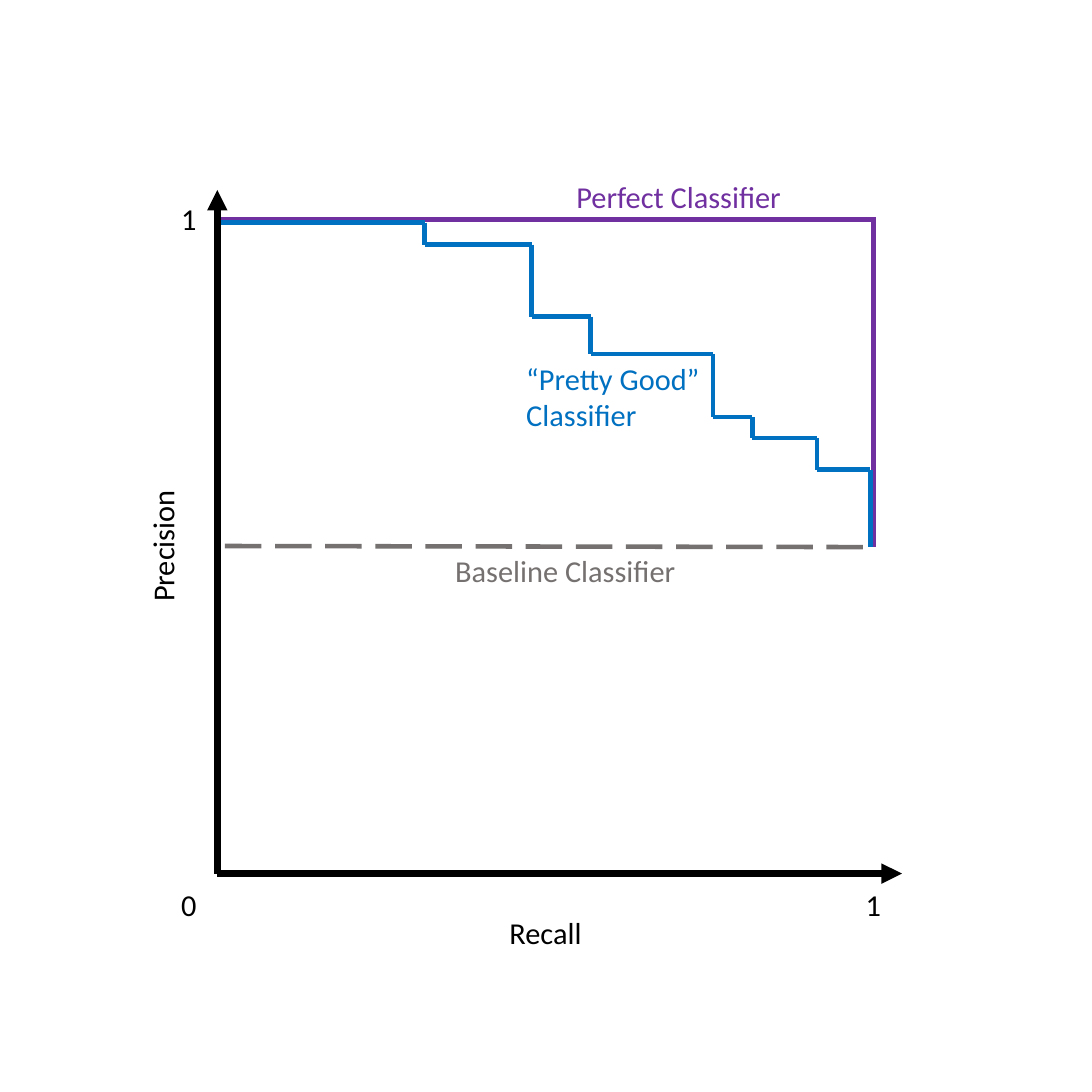
import pptx
import pptx.dml.color
import pptx.enum.dml
import pptx.enum.shapes
import pptx.enum.text
import pptx.oxml.ns
import pptx.util
from lxml import etree
from pptx.util import Inches

BLACK, GREY, PURPLE, BLUE = "000000", "767171", "7030A0", "0070C0"
PLOT = (1.99, 2, 6.01, 6)  # left, top, width, height; 0 to 1 on both axes
# Corners of the "pretty good" curve, from the plot's top left
CURVE = [(0.01, 0.04), (1.9, 0.04), (1.9, 0.24), (2.88, 0.24), (2.88, 0.9),
         (3.42, 0.9), (3.42, 1.24), (4.54, 1.24), (4.54, 1.82), (4.9, 1.82),
         (4.9, 2.01), (5.49, 2.01), (5.49, 2.3), (5.98, 2.3), (5.98, 3.01)]


def rgb(color):
    """Turn a hex string into a colour."""
    return pptx.dml.color.RGBColor.from_string(color)


def add_line(shapes, start, end, color, width=3, dash=None, arrow=False):
    """Draw a straight line between two points given in inches."""
    line = shapes.add_connector(pptx.enum.shapes.MSO_CONNECTOR.STRAIGHT,
                                *(Inches(value) for value in (*start, *end)))
    line.line.color.rgb = rgb(color)
    line.line.width = pptx.util.Pt(width)
    if dash:
        line.line.dash_style = dash
    properties = line._element.spPr
    qn = pptx.oxml.ns.qn
    if arrow:
        etree.SubElement(properties.find(qn("a:ln")), qn("a:tailEnd"), type="triangle")
    etree.SubElement(properties, qn("a:effectLst"))


def add_label(shapes, text, left, top, width, height=0.44, color=BLACK,
              centered=False, rotation=0):
    """Write a 20 pt label in a wrapping text box."""
    label = shapes.add_textbox(*(Inches(value) for value in (left, top, width, height)))
    label.rotation = rotation
    label.text_frame.word_wrap = True
    label.text_frame.auto_size = pptx.enum.text.MSO_AUTO_SIZE.SHAPE_TO_FIT_TEXT
    paragraph = label.text_frame.paragraphs[0]
    align = pptx.enum.text.PP_ALIGN
    paragraph.alignment = align.CENTER if centered else align.LEFT
    run = paragraph.add_run()
    run.text = text
    run.font.name = "Calibri"
    run.font.size = pptx.util.Pt(20)
    run.font.color.rgb = rgb(color)


def add_classifiers(shapes, box):
    """Draw the baseline, perfect and stepped curves inside the plot box."""
    left, top, width, height = box
    right, middle = left + width, top + height / 2
    add_line(shapes, (left + 0.07, middle), (right - 0.07, middle + 0.01), GREY,
             dash=pptx.enum.dml.MSO_LINE.LONG_DASH)
    add_line(shapes, (left, top + 0.01), (right, top + 0.01), PURPLE)
    add_line(shapes, (right, top - 0.01), (right, middle + 0.01), PURPLE)
    steps = shapes.add_group_shape().shapes
    corners = [(left + x, top + y) for x, y in CURVE]
    for start, end in zip(corners, corners[1:]):
        add_line(steps, start, end, BLUE)


def add_axes(shapes, box):
    """Draw both axes with their titles and end values around the plot box."""
    left, top, width, height = box
    right, bottom = left + width, top + height
    origin = (left, bottom)
    for tip in ((right + 0.26, bottom), (left, top - 0.26)):
        add_line(shapes, origin, tip, BLACK, width=4.5, arrow=True)
    add_label(shapes, "Recall", left + 1.76, bottom + 0.32, 2.49, centered=True)
    add_label(shapes, "Precision", left - 1.62, top + 2.78, 2.24,
              centered=True, rotation=270)
    for value, x, y in (("0", left - 0.43, bottom + 0.07),
                        ("1", right - 0.17, bottom + 0.07),
                        ("1", left - 0.43, top - 0.22)):
        add_label(shapes, value, x, y, 0.34)


def add_curve_names(shapes, box):
    """Name each curve in its own colour."""
    left, top, _, _ = box
    for name, x, y, width, height, color in (
            ("Perfect Classifier", 3.19, -0.42, 2.82, 0.44, PURPLE),
            ("Baseline Classifier", 2.08, 3.01, 2.55, 0.44, GREY),
            ("“Pretty Good” Classifier", 2.73, 1.25, 2.55, 0.77, BLUE)):
        add_label(shapes, name, left + x, top + y, width, height, color)


def main():
    """Build the precision-recall slide."""
    deck = pptx.Presentation()
    deck.slide_width = deck.slide_height = Inches(10)
    shapes = deck.slides.add_slide(deck.slide_layouts[6]).shapes
    for add_part in (add_classifiers, add_axes, add_curve_names):
        add_part(shapes, PLOT)
    deck.save("out.pptx")


main()
